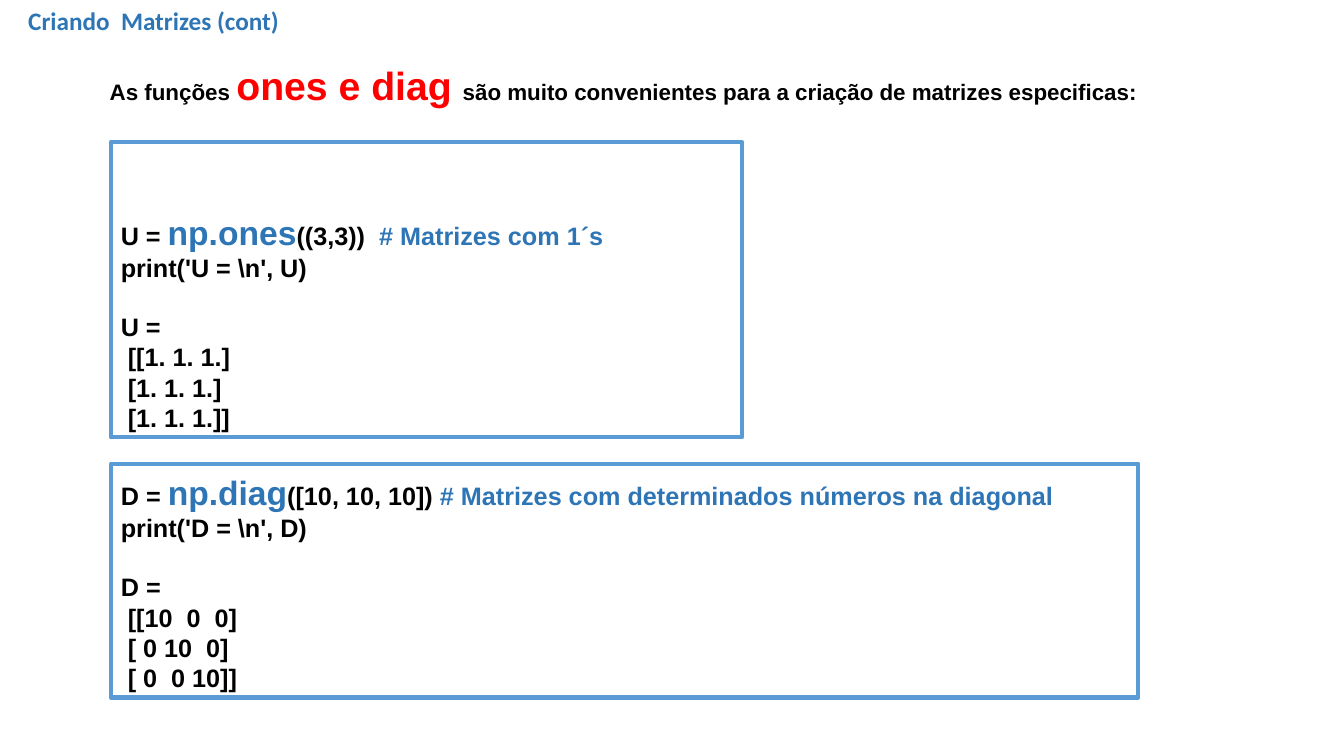
import pptx
import pptx.util
import pptx.dml.color
import pptx.enum.shapes
import pptx.enum.text

Inches, Pt = pptx.util.Inches, pptx.util.Pt
RGB = pptx.dml.color.RGBColor.from_string
TOP = pptx.enum.text.MSO_ANCHOR.TOP
BOTTOM = pptx.enum.text.MSO_ANCHOR.BOTTOM
LEFT = pptx.enum.text.PP_ALIGN.LEFT

# Content: each line is a list of (text, style) runs
TITLE = "Criando  Matrizes (cont)"
INTRO = [
    ("As funções ", "intro"),
    ("ones e diag ", "highlight"),
    ("são muito convenientes para a criação de matrizes especificas:", "intro"),
]
EXAMPLES = [
    {
        "box": (1.1, 1.41, 6.26, 2.93),
        "code": [
            [("U = ", "code"), ("np.ones", "function"), ("((3,3))  ", "code"),
             ("# Matrizes com 1´s", "comment")],
            [("print('U = \\n', U)", "code")],
        ],
        "output": ["U =", " [[1. 1. 1.]", " [1. 1. 1.]", " [1. 1. 1.]]"],
    },
    {
        "box": (1.1, 4.6, 10.19, 2.32),
        "code": [
            [("D = ", "code"), ("np.diag", "function"), ("([10, 10, 10]) ", "code"),
             ("# Matrizes com determinados números na diagonal", "comment")],
            [("print('D = \\n', D)", "code")],
        ],
        "output": ["D =", " [[10  0  0]", " [ 0 10  0]", " [ 0  0 10]]"],
    },
]

# Theme: each text style is (size, colour)
THEME = {
    "title_font": "Calibri",
    "body_font": "Arial",
    "border": "5B9BD5",
    "border_width": 3,
    "output_gap": 20.7,
    "styles": {
        "title": (18, "2E75B6"),
        "intro": (16, "000000"),
        "highlight": (28, "FF0000"),
        "code": (18, "000000"),
        "function": (24, "2E75B6"),
        "comment": (18, "2E75B6"),
    },
}


def set_font(font, style, name):
    size, colour = THEME["styles"][style]
    font.name, font.size, font.bold = name, Pt(size), True
    font.color.rgb = RGB(colour)


def write_lines(tf, lines):
    tf.word_wrap = True
    for i, runs in enumerate(lines):
        p = tf.paragraphs[0] if i == 0 else tf.add_paragraph()
        p.alignment = LEFT
        for text, style in runs:
            r = p.add_run()
            r.text = text
            set_font(r.font, style, THEME["body_font"])


def add_example(slide, example):
    sp = slide.shapes.add_shape(pptx.enum.shapes.MSO_SHAPE.RECTANGLE,
                                *map(Inches, example["box"]))
    sp.shadow.inherit = False
    sp.fill.background()
    sp.line.color.rgb = RGB(THEME["border"])
    sp.line.width = Pt(THEME["border_width"])
    tf = sp.text_frame
    tf.vertical_anchor = BOTTOM
    code = example["code"]
    write_lines(tf, code + [[(line, "code")] for line in example["output"]])
    tf.paragraphs[len(code)].space_before = Pt(THEME["output_gap"])


def main():
    prs = pptx.Presentation()
    prs.slide_width, prs.slide_height = Inches(13.33), Inches(7.5)
    slide = prs.slides.add_slide(prs.slide_layouts.get_by_name("Title Only"))

    # Title
    title = slide.shapes.title
    title.left, title.top, title.width, title.height = map(Inches, (0.18, 0, 6.67, 0.4))
    tf = title.text_frame
    tf.text = TITLE
    tf.vertical_anchor = TOP
    tf.paragraphs[0].alignment = LEFT
    set_font(tf.paragraphs[0].font, "title", THEME["title_font"])

    # Introduction
    intro = slide.shapes.add_textbox(*map(Inches, (0.99, 0.56, 11.73, 1.11)))
    write_lines(intro.text_frame, [INTRO])

    # Code examples
    for example in EXAMPLES:
        add_example(slide, example)

    prs.save("out.pptx")


if __name__ == "__main__":
    main()
